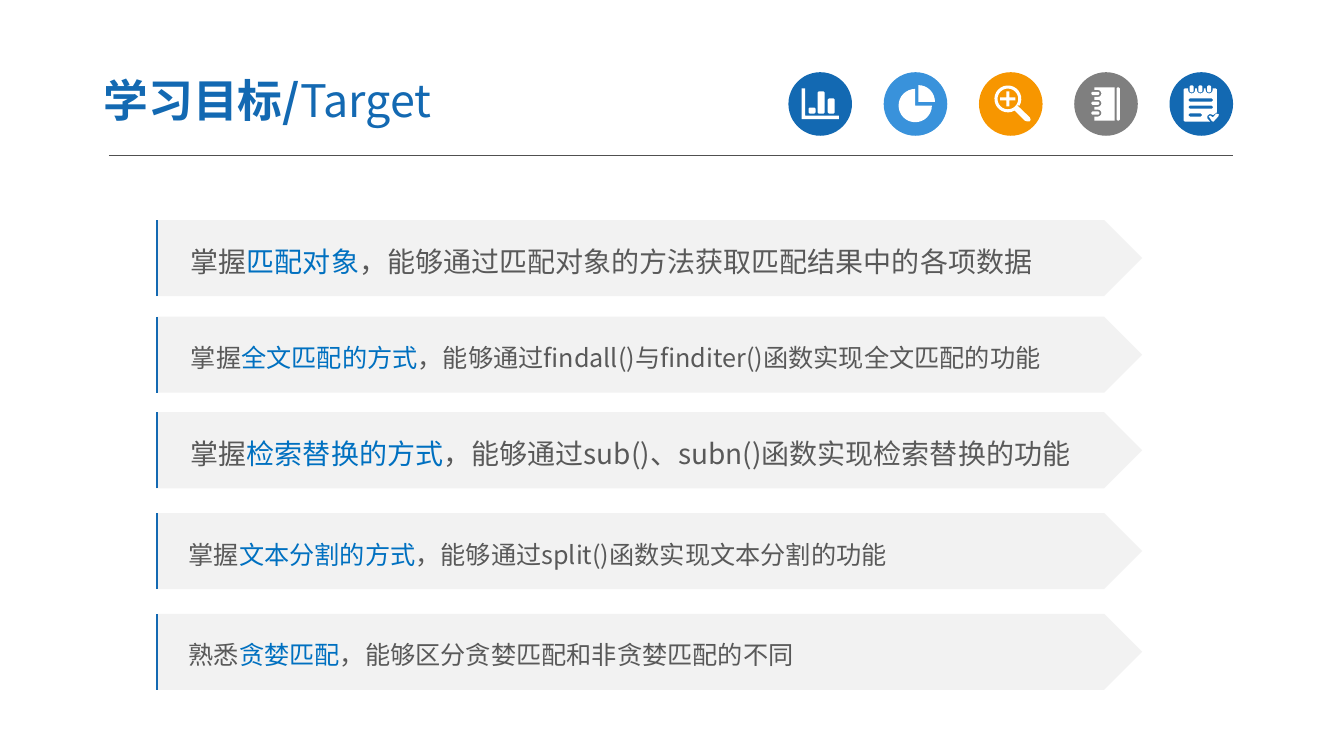
from math import cos, radians, sin

from lxml.etree import SubElement
from pptx import Presentation
from pptx.dml.color import RGBColor
from pptx.enum.shapes import MSO_CONNECTOR, MSO_SHAPE as Shape
from pptx.enum.text import MSO_ANCHOR, PP_ALIGN
from pptx.oxml.ns import qn
from pptx.util import Pt

FONT = "Noto Sans CJK SC"
COLORS = {
    "white": "FFFFFF", "blue": "1369B2", "sky": "3992DB", "orange": "F79600",
    "gray": "7F7F7F", "rule": "505050", "banner": "F2F2F2",
    "text": "595959", "accent": "0070C0",
}

# Banners: top, text inset, size, opening, highlighted words, rest
BANNER_LEFT, BANNER_WIDTH, BANNER_HEIGHT = 112, 703.8, 54.3
GOALS = [
    (157.2, 24.3, 20, "掌握", "匹配对象", "，能够通过匹配对象的方法获取匹配结果中的各项数据"),
    (226.2, 24.3, 18, "掌握", "全文匹配的方式", "，能够通过findall()与finditer()函数实现全文匹配的功能"),
    (294.5, 24.3, 20, "掌握", "检索替换的方式", "，能够通过sub()、subn()函数实现检索替换的功能"),
    (366.5, 22.8, 18, "掌握", "文本分割的方式", "，能够通过split()函数实现文本分割的功能"),
    (438.5, 22.8, 18, "熟悉", "贪婪匹配", "，能够区分贪婪匹配和非贪婪匹配的不同"),
]

# Icons: a row of discs, glyph outlines placed relative to each disc
DISC_LEFT, DISC_TOP, DISC_SIZE, DISC_STEP = 563.2, 51.6, 45.4, 68.05


def rgb(name):
    return RGBColor.from_string(COLORS[name])


def paint(shape, color):
    shape.shadow.inherit = False
    shape.fill.solid()
    shape.fill.fore_color.rgb = rgb(color)
    shape.line.fill.background()


def add_shape(page, kind, left, top, width, height, color):
    shape = page.shapes.add_shape(kind, Pt(left), Pt(top), Pt(width), Pt(height))
    paint(shape, color)
    return shape


def add_line(page, x1, y1, x2, y2, color, width):
    line = page.shapes.add_connector(
        MSO_CONNECTOR.STRAIGHT, Pt(x1), Pt(y1), Pt(x2), Pt(y2))
    line.line.color.rgb = rgb(color)
    line.line.width = Pt(width)
    SubElement(line._element.spPr, qn("a:effectLst"))


def add_span(para, text, size, color, bold=False):
    span = para.add_run()
    span.text = text
    span.font.size = Pt(size)
    span.font.bold = bold
    span.font.name = FONT
    span.font.color.rgb = rgb(color)
    SubElement(span._r.get_or_add_rPr(), qn("a:ea")).set("typeface", FONT)


def add_title(page):
    box = page.shapes.add_textbox(Pt(64.5), Pt(45.4), Pt(375.8), Pt(51.8))
    frame = box.text_frame
    frame.word_wrap = True
    frame.vertical_anchor = MSO_ANCHOR.MIDDLE
    frame.margin_left = frame.margin_right = Pt(9.4)
    frame.margin_top = frame.margin_bottom = Pt(5)
    para = frame.paragraphs[0]
    add_span(para, "学习目标/", 32, "blue", bold=True)
    add_span(para, "Target", 32, "blue")


def add_banner(page, top, inset, size, opening, key, rest):
    banner = add_shape(page, Shape.PENTAGON, BANNER_LEFT, top,
                       BANNER_WIDTH, BANNER_HEIGHT, "banner")
    frame = banner.text_frame
    frame.word_wrap = True
    frame.vertical_anchor = MSO_ANCHOR.MIDDLE
    frame.margin_left, frame.margin_right = Pt(inset), Pt(0)
    para = frame.paragraphs[0]
    para.alignment = PP_ALIGN.LEFT
    para.line_spacing = 1.2
    for text, color in ((opening, "text"), (key, "accent"), (rest, "text")):
        add_span(para, text, size, color)
    add_line(page, BANNER_LEFT, top + BANNER_HEIGHT, BANNER_LEFT, top, "blue", 1.5)


# Outlines used by the glyphs
def bar(x, y, width, height, cut=0.8):
    """A box with slightly cut corners."""
    right, bottom = x + width, y + height
    return [(x + cut, y), (right - cut, y), (right, y + cut), (right, bottom - cut),
            (right - cut, bottom), (x + cut, bottom), (x, bottom - cut), (x, y + cut)]


def arc(x, y, radius, start=0, end=360, steps=24):
    """Points along a circle, clockwise from the right, in degrees."""
    angles = [radians(start + (end - start) * step / steps) for step in range(steps + 1)]
    return [(x + radius * cos(angle), y + radius * sin(angle)) for angle in angles]


def bars_glyph():
    axis = [(9.4, 11.5), (12, 11.5), (12, 31), (36, 31), (36, 33.4), (9.4, 33.4)]
    return [axis, bar(14.4, 25.2, 5, 4.3), bar(20.9, 13.7, 5, 15.8),
            bar(28.1, 18.7, 5, 10.8)]


def pie_glyph():
    return [[(22.5, 23.8)] + arc(22.5, 23.8, 11.9, 0, 270),
            [(24.7, 21.1)] + arc(24.7, 21.1, 11.9, -90, 0, 8)]


def lens_glyph():
    handle = [(27, 23.4), (36.2, 32.2), (36.9, 34), (36, 35.2), (34.4, 35.2),
              (32.6, 34.6), (24.6, 26.5)]
    plus = [(19.5, 13.7), (21.7, 13.7), (21.7, 18), (25.9, 18), (25.9, 20.2),
            (21.7, 20.2), (21.7, 24.5), (19.5, 24.5), (19.5, 20.2), (15.1, 20.2),
            (15.1, 18), (19.5, 18)]
    return [arc(20.6, 19.1, 9.6, 60, 390) + handle, arc(20.6, 19.1, 7.4), plus]


def notebook_glyph():
    middles = [15.2, 22.2, 29.2]
    cover = [(14.4, 10.8), (28.8, 10.8), (28.8, 34.6), (14.4, 34.6)]
    for middle in reversed(middles):
        cover += [(14.4, middle + 2.5)] + arc(16.9, middle, 2.5, 90, -90, 6)
        cover.append((14.4, middle - 2.5))
    rings = [bar(12.2, middle - 1.2, 5.8, 2.4) for middle in middles]
    return [cover, bar(30.2, 10.8, 2.4, 23.8)] + rings


def notepad_glyph():
    middles = [15.8, 22.1, 28.3]
    sheet = [(10.1, 12.3), (11, 11.5)]
    for middle in middles:
        sheet += [(middle - 2.5, 11.5)] + arc(middle, 12.7, 2.5, 180, 0, 6)
        sheet.append((middle + 2.5, 11.5))
    sheet += [(33, 11.5), (33.9, 12.3), (33.9, 28.6), (31.2, 30.6), (28.8, 29.8),
              (27, 31.2), (27, 33), (29, 35.3), (11, 35.3), (10.1, 34.5)]
    rings = [bar(middle - 1.4, 9.4, 2.8, 5) for middle in middles]
    rows = [bar(13.7, y, width, 2.3)
            for y, width in ((18.7, 17.3), (23.8, 17.3), (29.4, 9.4))]
    tick = [(28, 31.6), (29, 30.9), (31, 32.2), (33.4, 29.6), (35.2, 30),
            (35, 31.4), (31.4, 35.3), (30.4, 35.1)]
    return [sheet, tick] + rings + rows


def add_icon(page, index, color, outlines):
    left = DISC_LEFT + index * DISC_STEP
    add_shape(page, Shape.OVAL, left, DISC_TOP, DISC_SIZE, DISC_SIZE, color)
    contours = [[(Pt(left + x), Pt(DISC_TOP + y)) for x, y in outline]
                for outline in outlines]
    builder = page.shapes.build_freeform(*contours[0][0])
    builder.add_line_segments(contours[0][1:])
    for contour in contours[1:]:
        builder.move_to(*contour[0])
        builder.add_line_segments(contour[1:])
    paint(builder.convert_to_shape(), "white")


def main():
    deck = Presentation()
    deck.slide_width, deck.slide_height = Pt(960), Pt(540)
    page = deck.slides.add_slide(deck.slide_layouts[6])

    # Header
    add_line(page, 77.8, 111.2, 880.6, 111.2, "rule", 0.75)
    icons = (("blue", bars_glyph()), ("sky", pie_glyph()), ("orange", lens_glyph()),
             ("gray", notebook_glyph()), ("blue", notepad_glyph()))
    for index, (color, outlines) in enumerate(icons):
        add_icon(page, index, color, outlines)
    add_title(page)

    # Learning goals
    for goal in GOALS:
        add_banner(page, *goal)

    deck.save("out.pptx")


if __name__ == "__main__":
    main()
